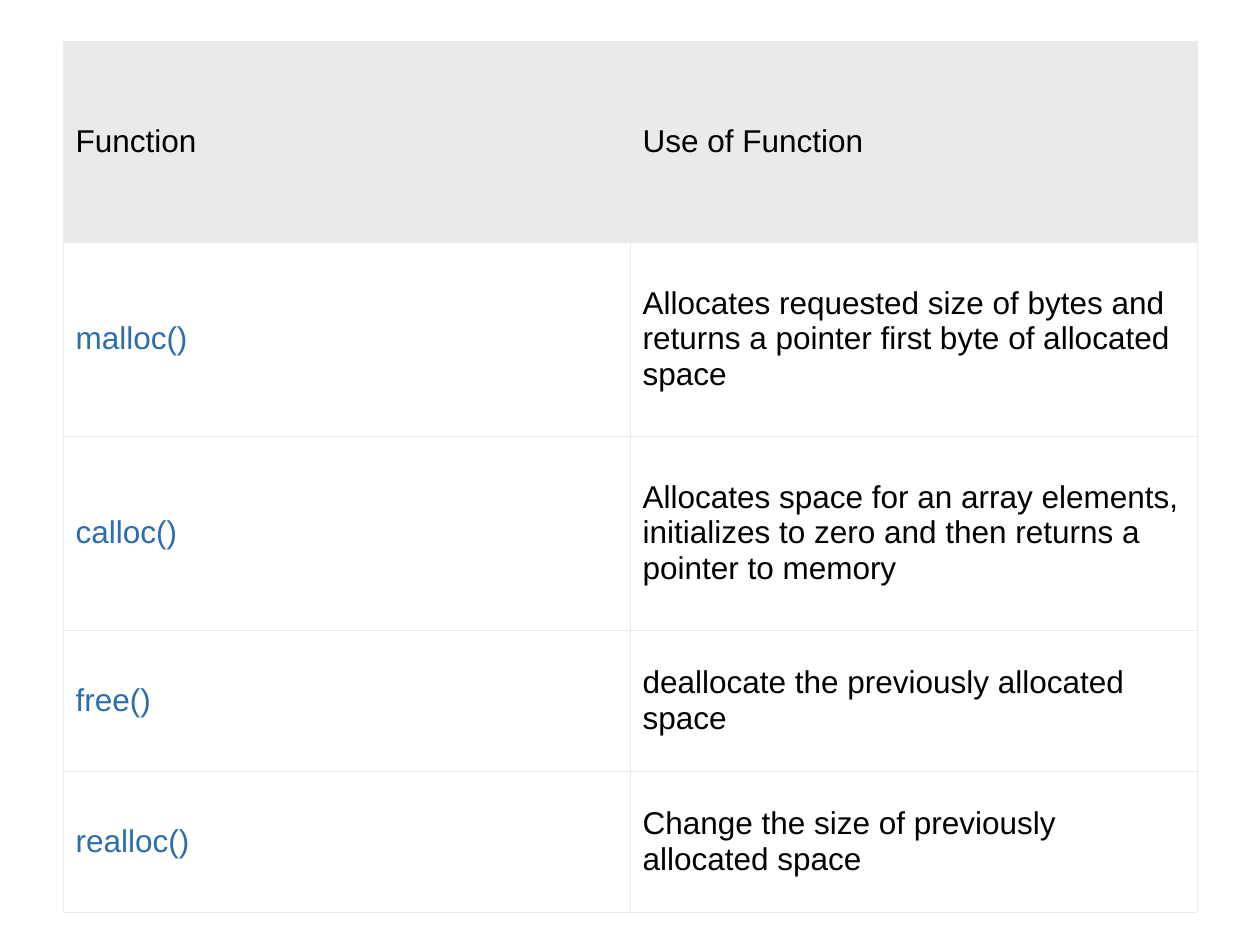
import dataclasses

import lxml.etree
import pptx
import pptx.dml.color
import pptx.enum.text
import pptx.oxml.ns
import pptx.table
import pptx.util

BLACK = pptx.dml.color.RGBColor(0x00, 0x00, 0x00)
WHITE = pptx.dml.color.RGBColor(0xFF, 0xFF, 0xFF)
GREY = pptx.dml.color.RGBColor(0xEA, 0xEA, 0xEC)
BLUE = pptx.dml.color.RGBColor(0x2B, 0x6D, 0xAD)

SLIDE_W, SLIDE_H = pptx.util.Inches(10), pptx.util.Inches(7.5)
MARGIN = 0.05  # share of the slide's width
TOP = 0.33
BORDER = pptx.util.Pt(0.34)


@dataclasses.dataclass(frozen=True)
class Row:
    function: str
    use: str
    height: float  # inches
    name_color: pptx.dml.color.RGBColor = BLUE
    fill: pptx.dml.color.RGBColor = WHITE


ROWS = [
    Row("Function", "Use of Function", 1.59, BLACK, GREY),
    Row("malloc()", "Allocates requested size of bytes and returns "
        "a pointer first byte of allocated space", 1.54),
    Row("calloc()", "Allocates space for an array elements, initializes "
        "to zero and then returns a pointer to memory", 1.54),
    Row("free()", "deallocate the previously allocated space", 1.12),
    Row("realloc()", "Change the size of previously allocated space", 1.12),
]


def add_borders(cell: pptx.table._Cell) -> None:
    """Outline all four sides; the lines must precede the fill in tcPr."""
    qn = pptx.oxml.ns.qn
    tc_pr = cell._tc.get_or_add_tcPr()
    for i, side in enumerate(("a:lnL", "a:lnR", "a:lnT", "a:lnB")):
        ln = lxml.etree.Element(qn(side), w=str(int(BORDER)))
        fill = lxml.etree.SubElement(ln, qn("a:solidFill"))
        lxml.etree.SubElement(fill, qn("a:srgbClr"), val=str(GREY))
        tc_pr.insert(i, ln)


def fill_cell(cell: pptx.table._Cell, text: str,
              color: pptx.dml.color.RGBColor,
              fill: pptx.dml.color.RGBColor) -> None:
    cell.fill.solid()
    cell.fill.fore_color.rgb = fill
    cell.vertical_anchor = pptx.enum.text.MSO_ANCHOR.MIDDLE
    cell.margin_left = pptx.util.Inches(0.1)
    cell.margin_right = pptx.util.Inches(0.08)
    cell.margin_top = cell.margin_bottom = pptx.util.Inches(0.05)
    r = cell.text_frame.paragraphs[0].add_run()
    r.text = text
    r.font.name = "Arial"
    r.font.size = pptx.util.Pt(18)
    r.font.bold = False
    r.font.color.rgb = color
    add_borders(cell)


def main() -> None:
    prs = pptx.Presentation()
    prs.slide_width, prs.slide_height = SLIDE_W, SLIDE_H
    s = prs.slides.add_slide(prs.slide_layouts[6])

    # Table of memory functions, two equal columns
    left = int(SLIDE_W * MARGIN)
    height = pptx.util.Inches(sum(row.height for row in ROWS))
    table = s.shapes.add_table(len(ROWS), 2, left, pptx.util.Inches(TOP),
                               SLIDE_W - 2 * left, height).table
    table.first_row = table.horz_banding = False

    for i, row in enumerate(ROWS):
        table.rows[i].height = pptx.util.Inches(row.height)
        fill_cell(table.cell(i, 0), row.function, row.name_color, row.fill)
        fill_cell(table.cell(i, 1), row.use, BLACK, row.fill)

    prs.save("out.pptx")


if __name__ == "__main__":
    main()
